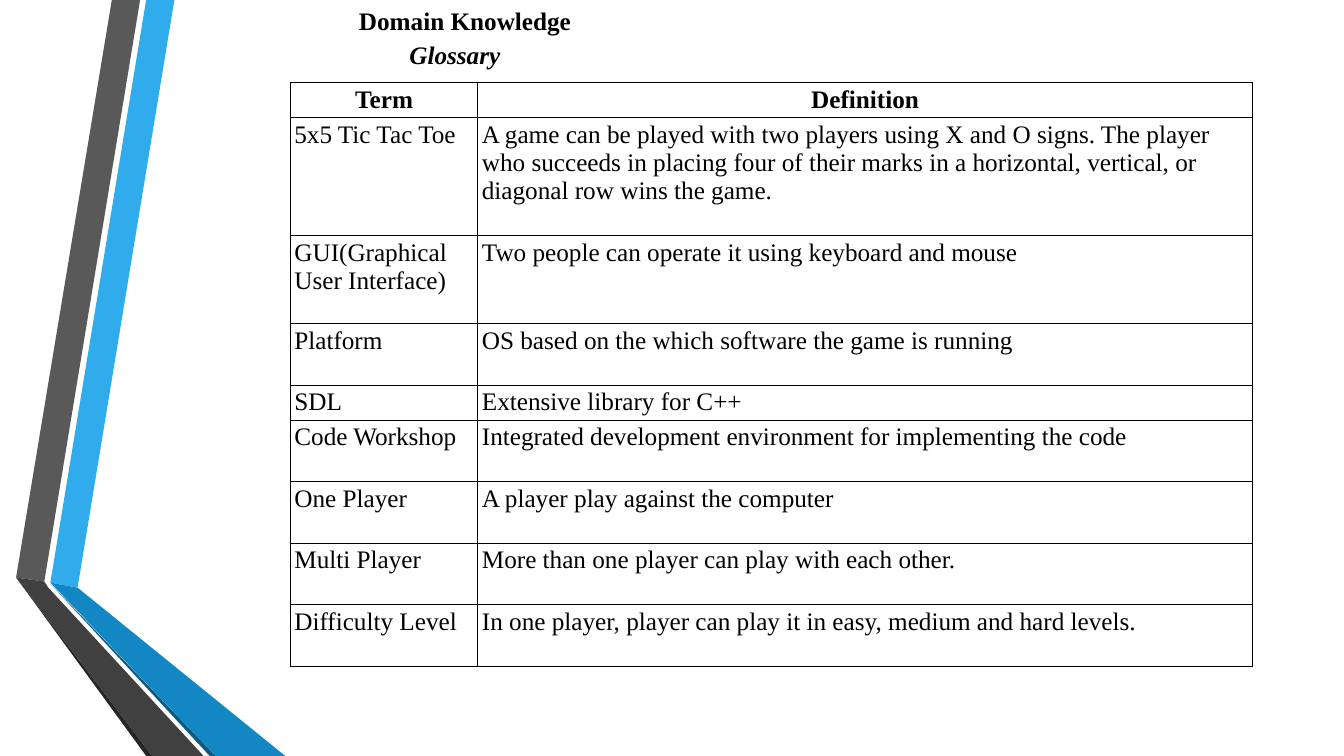
import pptx
import pptx.util
import pptx.dml.color
import pptx.enum.text
import pptx.oxml
import pptx.oxml.ns
from dataclasses import dataclass

Inches = pptx.util.Inches
Pt = pptx.util.Pt
Align = pptx.enum.text.PP_ALIGN


@dataclass(frozen=True)
class Theme:
    """Colours, font and type size of the slide."""
    font: str = "Times New Roman"
    size: int = 18
    ink: str = "000000"
    sky: str = "30ACEC"
    blue: str = "1287C3"
    navy: str = "0C5A82"
    grey: str = "595959"
    dark: str = "404040"
    coal: str = "262626"


THEME = Theme()

BANDS = [
    (THEME.sky, [(0.5, 5.78), (0.77, 5.83), (1.73, 0), (1.45, 0)]),
    (THEME.grey, [(1.39, 0), (1.11, 0), (0.16, 5.73), (0.44, 5.77)]),
    (THEME.coal, [(0.16, 5.73), (1.45, 7.5), (1.51, 7.5)]),
    (THEME.navy, [(0.5, 5.79), (2.08, 7.5), (2.14, 7.5)]),
    (THEME.blue, [(0.5, 5.78), (2.14, 7.5), (2.83, 7.5), (0.77, 5.83)]),
    (THEME.dark, [(2.02, 7.5), (0.48, 5.83), (0.44, 5.77), (0.16, 5.73),
                  (1.51, 7.5)]),
]

# Each row: height, term, definition
TERMS = [
    (0.35, "Term", "Definition"),
    (1.17, "5x5 Tic Tac Toe",
     "A game can be played with two players using X and O signs. "
     "The player who succeeds in placing four of their marks in a "
     "horizontal, vertical, or diagonal row wins the game."),
    (0.87, "GUI(Graphical User Interface)",
     "Two people can operate it using keyboard and mouse"),
    (0.61, "Platform", "OS based on the which software the game is running"),
    (0.35, "SDL", "Extensive library for C++"),
    (0.61, "Code Workshop",
     "Integrated development environment for implementing the code"),
    (0.61, "One Player", "A player play against the computer"),
    (0.61, "Multi Player", "More than one player can play with each other."),
    (0.61, "Difficulty Level",
     "In one player, player can play it in easy, medium and hard levels."),
]


def tint(code):
    """Turn a hex code into a colour."""
    return pptx.dml.color.RGBColor.from_string(code)


def style(para, bold=False, italic=False, align=Align.LEFT, after=0):
    """Set the font, alignment and spacing of a paragraph."""
    font = para.font
    font.name, font.size = THEME.font, Pt(THEME.size)
    font.bold, font.italic = bold, italic
    font.color.rgb = tint(THEME.ink)
    para.alignment = align
    para.space_after = Pt(after)


def add_band(group, color, spots):
    """Draw one closed, filled outline of the ribbon."""
    start, *rest = [(Inches(x), Inches(y)) for x, y in spots]
    pen = group.shapes.build_freeform(*start)
    pen.add_line_segments(rest, close=True)
    band = pen.convert_to_shape()
    band.shadow.inherit = False
    band.fill.solid()
    band.fill.fore_color.rgb = tint(color)
    band.line.fill.background()


def add_title(slide, head, sub):
    """Place the heading with its indented subheading."""
    title = slide.shapes.title
    title.left, title.top = Inches(3.46), Inches(0)
    title.width, title.height = Inches(6.67), Inches(0.75)
    frame = title.text_frame
    frame.word_wrap = True
    frame.auto_size = pptx.enum.text.MSO_AUTO_SIZE.NONE
    frame.vertical_anchor = pptx.enum.text.MSO_ANCHOR.TOP
    first, second = frame.paragraphs[0], frame.add_paragraph()
    first.text, second.text = head, sub
    style(first, bold=True, after=3)
    first.space_before = Pt(12)
    style(second, bold=True, italic=True)
    second._p.get_or_add_pPr().set("marL", str(Inches(0.5)))


def add_edges(cell):
    """Give a cell a thin line on all four sides."""
    props = cell._tc.get_or_add_tcPr()
    space = pptx.oxml.ns.nsdecls("a")
    for spot, side in enumerate(("lnL", "lnR", "lnT", "lnB")):
        props.insert(spot, pptx.oxml.parse_xml(
            f'<a:{side} {space} w="{Pt(0.75)}"><a:solidFill>'
            f'<a:srgbClr val="{THEME.ink}"/></a:solidFill></a:{side}>'))


def fill_cell(cell, text, head):
    """Write and format one cell of the glossary."""
    cell.fill.background()
    cell.margin_left = cell.margin_right = Inches(0.04)
    cell.margin_top = cell.margin_bottom = Inches(0.03)
    para = cell.text_frame.paragraphs[0]
    para.text = text
    style(para, bold=head, align=Align.CENTER if head else Align.LEFT,
          after=10)
    add_edges(cell)


def add_terms(slide, rows, widths):
    """Build the glossary table."""
    high = sum(row[0] for row in rows)
    table = slide.shapes.add_table(
        len(rows), len(widths), Inches(2.88), Inches(0.82),
        Inches(sum(widths)), Inches(high)).table
    table.first_row = table.horz_banding = False
    for col, width in zip(table.columns, widths):
        col.width = Inches(width)
    for i, (height, *texts) in enumerate(rows):
        table.rows[i].height = Inches(height)
        for j, text in enumerate(texts):
            fill_cell(table.cell(i, j), text, head=i == 0)


def main():
    """Build and save the slide."""
    deck = pptx.Presentation()
    deck.slide_width, deck.slide_height = Inches(13.33), Inches(7.5)
    slide = deck.slides.add_slide(deck.slide_layouts.get_by_name("Title Only"))
    group = slide.shapes.add_group_shape()
    for color, spots in BANDS:
        add_band(group, color, spots)
    add_terms(slide, TERMS, (1.86, 7.68))
    add_title(slide, "Domain Knowledge", "Glossary")
    deck.save("out.pptx")


main()
